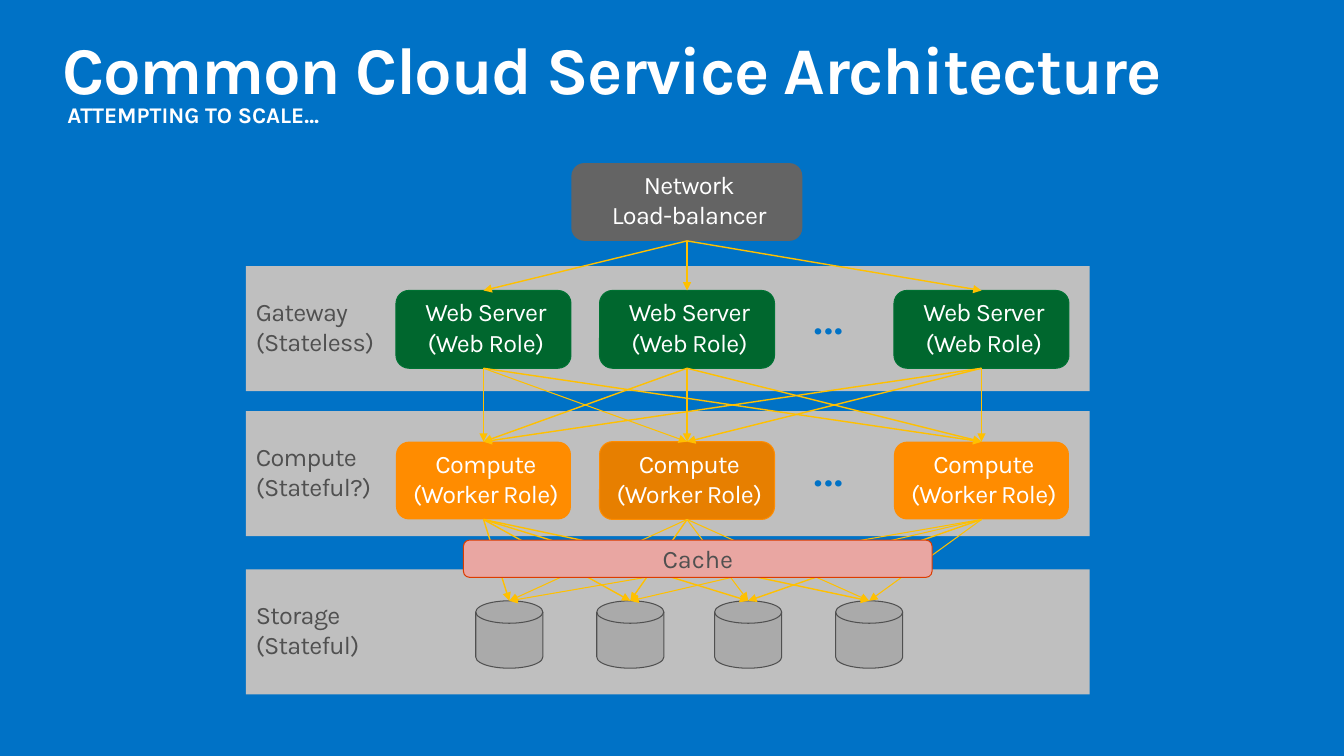
from itertools import product
from pptx import Presentation
from pptx.dml.color import RGBColor
from pptx.enum.shapes import MSO_CONNECTOR, MSO_SHAPE
from pptx.enum.text import MSO_ANCHOR, PP_ALIGN
from pptx.oxml.ns import qn
from pptx.util import Cm, Pt
from lxml import etree

HUES = {
    "back": "0072C6", "white": "FFFFFF", "band": "BFBFBF", "ink": "505050",
    "gray": "646464", "green": "00672E", "rim": "007233", "orange": "FF8C00",
    "dark": "E77F00", "disk": "AAAAAA", "pink": "E9A6A2", "red": "DC3C00",
    "arrow": "FFC000",
}
RECT, ROUND = MSO_SHAPE.RECTANGLE, MSO_SHAPE.ROUNDED_RECTANGLE
LEFT, MID = PP_ALIGN.LEFT, PP_ALIGN.CENTER
TOP, CENTER, BOTTOM = MSO_ANCHOR.TOP, MSO_ANCHOR.MIDDLE, MSO_ANCHOR.BOTTOM


def hue(name):
    """Return the named colour."""
    return RGBColor.from_string(HUES[name])


def write(shape, text, size, color, align=LEFT, anchor=CENTER,
          pads=(0.25, 0.13, 0.13, 0.25), bold=False, gap=0, lead=1.0):
    """Fill a shape with text; gap is letter spacing in 1/100 point."""
    frame = shape.text_frame
    frame.word_wrap = True
    frame.vertical_anchor = anchor
    (frame.margin_left, frame.margin_top,
     frame.margin_right, frame.margin_bottom) = map(Cm, pads)
    frame.text = text
    for para in frame.paragraphs:
        para.alignment = align
        para.line_spacing = lead
        font = para.font
        font.name, font.size, font.bold = "Karla", Pt(size), bold
        font.color.rgb = hue(color)
        para._p.pPr.find(qn("a:defRPr")).set("spc", str(gap))


deck = Presentation()
deck.slide_width, deck.slide_height = Cm(33.87), Cm(19.05)
slide = deck.slides.add_slide(deck.slide_layouts[6])
slide.background.fill.solid()
slide.background.fill.fore_color.rgb = hue("back")
shapes = slide.shapes

# Headings and the dots that stand for more servers
flat, head = (0, 0, 0, 0), (0, 0.25, 0.41, 0.25)
for box, text, size, color, anchor, pads, bold, gap, lead in [
    ((1.7, 2.64, 30.5, 0.84), "ATTEMPTING TO SCALE…", 16, "white", BOTTOM, head, True, 0, 0.9),
    ((1.57, 0.69, 30.63, 2.08), "Common Cloud Service Architecture", 47.6, "white", TOP, head,
     True, -100, 0.9),
]:
    write(shapes.add_textbox(*map(Cm, box)), text, size, color, LEFT, anchor, pads, bold, gap, lead)

# Grid of the diagram
wide, high = 4.41, 1.96
cols = [9.98, 15.11, 22.53]
mids = [x + wide / 2 for x in cols]
disks = [11.99, 15.04, 18.01, 21.06]
span = 1.69
hubs = [x + span / 2 for x in disks]
lb_y, web_y, work_y, disk_y = 4.11, 7.32, 11.13, 15.14

# Blocks: kind, place, fill, line, text, text colour, alignment
web, work = "Web Server\n(Web Role)", "Compute\n(Worker Role)"
blocks = [
    (RECT, (6.2, y, 21.26, 3.15), "band", None, text, "ink", LEFT)
    for y, text in [(6.71, "Gateway\n(Stateless)"), (10.36, "Compute\n(Stateful?)"),
                    (14.35, "Storage\n(Stateful)")]
]
blocks.append((ROUND, (14.4, lb_y, 5.82, high), "gray", None,
               "Network\nLoad-balancer", "white", MID))
for x in cols:
    blocks.append((ROUND, (x, web_y, wide, high), "green", "rim", web, "white", MID))
for x, fill, line in zip(cols, ["orange", "dark", "orange"], [None, "orange", None]):
    blocks.append((ROUND, (x, work_y, wide, high), fill, line, work, "white", MID))
for x in disks:
    blocks.append((MSO_SHAPE.FLOWCHART_MAGNETIC_DISK, (x, disk_y, span, 1.7),
                   "disk", "ink", "", "ink", MID))
cache = (ROUND, (11.68, 13.61, 11.81, 0.94), "pink", "red", "Cache", "ink", MID)

# Arrows: start points, start height, end points, end height, thin pairs
flows = [
    (mids[1:2], lb_y + high, mids, web_y, []),
    (mids, web_y + high, mids, work_y, [(0, 1), (2, 2)]),
    (mids, work_y + high, hubs, disk_y, [(1, 0), (1, 2), (1, 3), (2, 0), (2, 1), (2, 3)]),
]

for kind, box, fill, line, text, color, align in blocks + [cache]:
    if text == "Cache":  # the cache covers the arrows
        for tops, y1, ends, y2, thin in flows:
            for (i, x1), (j, x2) in product(enumerate(tops), enumerate(ends)):
                link = shapes.add_connector(MSO_CONNECTOR.STRAIGHT, Cm(x1), Cm(y1), Cm(x2), Cm(y2))
                link.line.color.rgb = hue("arrow")
                link.line.width = Pt(0.75 if (i, j) in thin else 1)
                etree.SubElement(link.line._get_or_add_ln(), qn("a:tailEnd"), type="triangle")
                etree.SubElement(link._element.spPr, qn("a:effectLst"))
    block = shapes.add_shape(kind, *map(Cm, box))
    block.shadow.inherit = False
    block.fill.solid()
    block.fill.fore_color.rgb = hue(fill)
    if line:
        block.line.color.rgb = hue(line)
        block.line.width = Pt(0.75)
    else:
        block.line.fill.background()
    if text == "Cache":
        write(block, text, 18, color, align, pads=(0.25, 0.13, 0.25, 0.13))
    elif text:
        write(block, text, 18, color, align, gap=-50)

for y in (7.01, 10.85):
    write(shapes.add_textbox(Cm(20.5), Cm(y), Cm(2.03), Cm(1.7)), "…", 40, "back",
          anchor=TOP, pads=flat)

deck.save("out.pptx")
